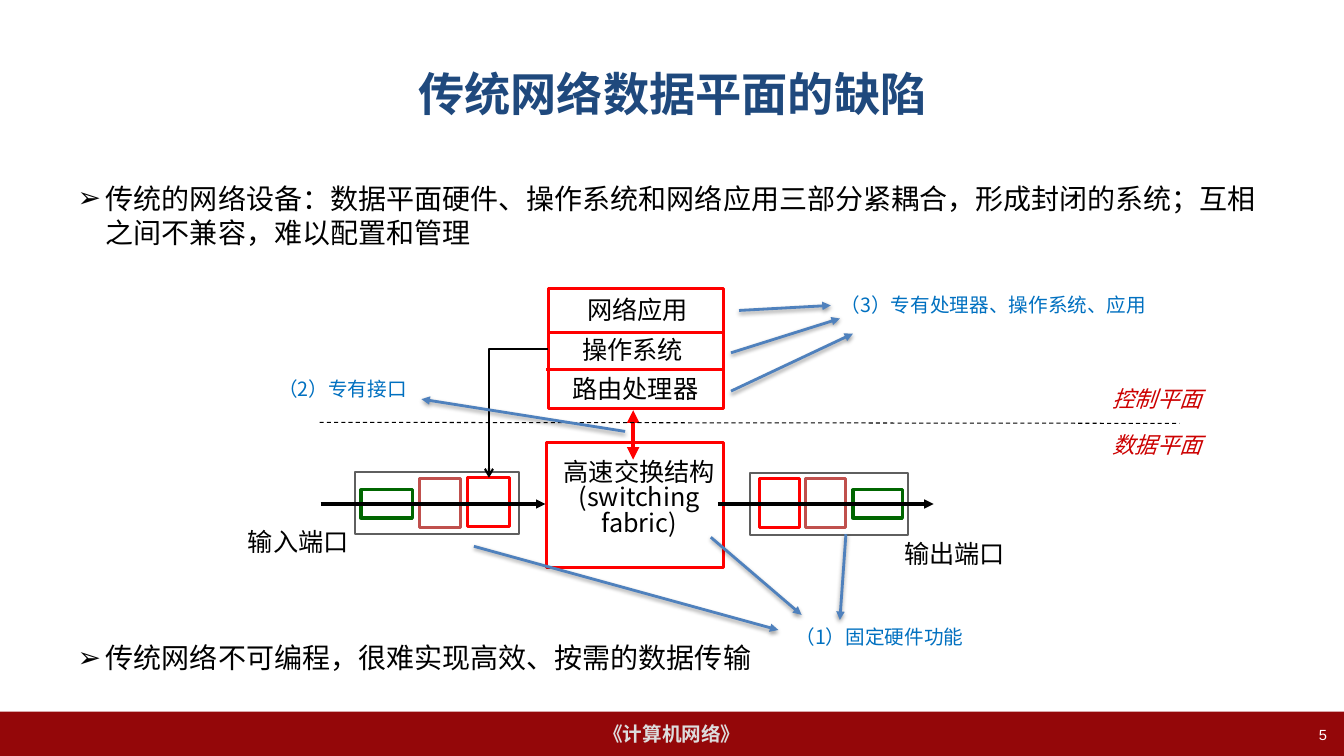
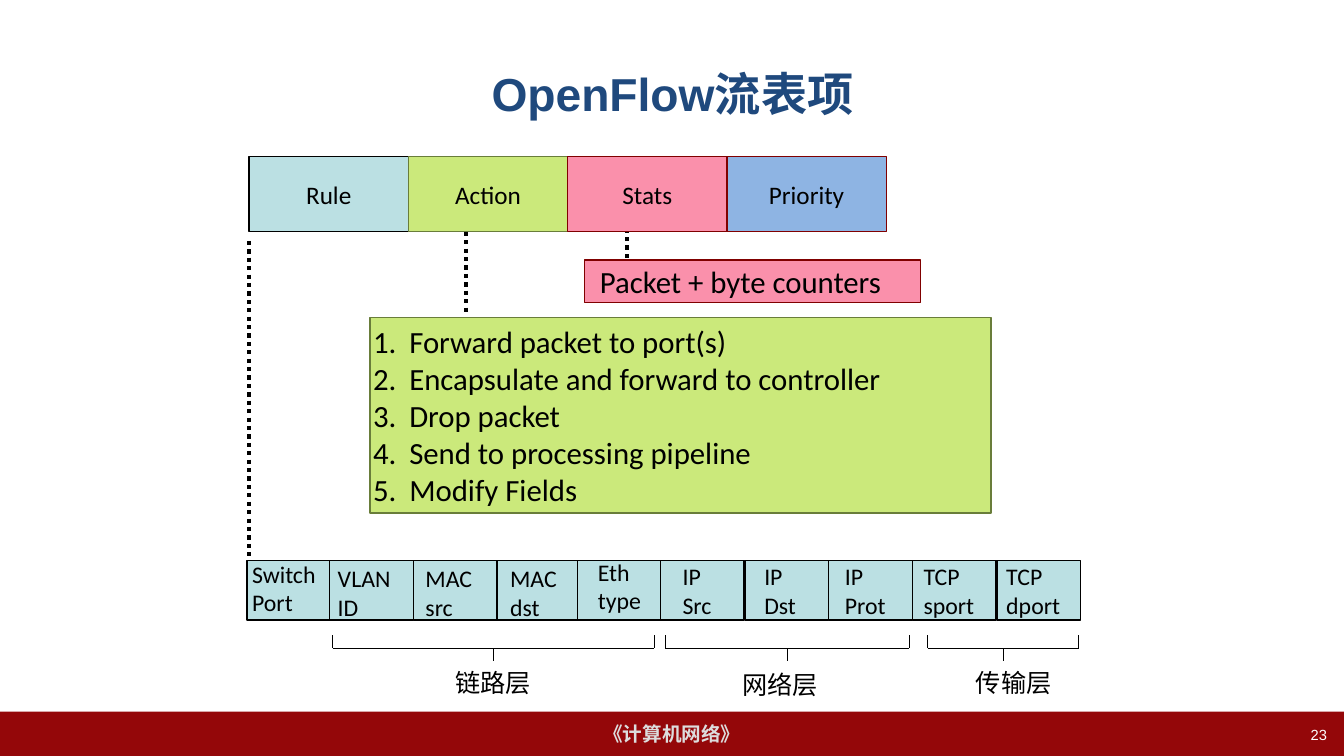
from dataclasses import dataclass

from lxml import etree
from pptx import Presentation
from pptx import util as u
from pptx.dml import color
from pptx.enum import dml, shapes, text
from pptx.oxml import ns

In = u.Inches
LEFT, CENTER, RIGHT = text.PP_ALIGN.LEFT, text.PP_ALIGN.CENTER, text.PP_ALIGN.RIGHT
MIDDLE, TOP = text.MSO_ANCHOR.MIDDLE, text.MSO_ANCHOR.TOP


@dataclass(frozen=True)
class Theme:
    # Colours
    band: str = "940709"
    band_text: str = "DDDDDD"
    title: str = "1F497D"
    ink: str = "000000"
    white: str = "FFFFFF"
    red: str = "FF0000"
    plane: str = "CC0000"
    brick: str = "C0504D"
    green: str = "006600"
    gray: str = "5F5F5F"
    arrow: str = "4F81BD"
    note: str = "0070C0"
    teal: str = "BBE0E3"
    lime: str = "CBE97B"
    olive: str = "697D3A"
    pink: str = "FA90AB"
    maroon: str = "800000"
    sky: str = "8EB4E3"
    # Fonts and type sizes
    head_font: str = "Arial"
    label_font: str = "Noto Sans CJK SC"
    table_font: str = "Calibri"
    title_size: float = 33
    list_size: float = 22
    body_size: float = 20
    label_size: float = 18
    field_size: float = 17
    plane_size: float = 16
    note_size: float = 14
    number_size: float = 10.5


T = Theme()
LABEL = dict(name=T.label_font, size=T.label_size)
NOTE = dict(name=T.label_font, size=T.note_size, color=T.note)
PLANE = dict(name=T.label_font, size=T.plane_size, color=T.plane, italic=True)
CELL = dict(name=T.table_font, size=T.label_size)
FIELD = dict(CELL, size=T.field_size)
LIST = dict(CELL, size=T.list_size)
BODY = dict(name=T.head_font, size=T.body_size)


def sub(parent, tag, **attrs):
    el = etree.SubElement(parent, ns.qn(tag))
    for key, value in attrs.items():
        el.set(key, str(value))
    return el


class Deck:
    def __init__(self):
        self.prs = Presentation()
        self.prs.slide_width, self.prs.slide_height = In(13.33), In(7.5)
        self.s = None

    def slide(self, title, number, layout):
        first = self.s is None
        self.s = self.prs.slides.add_slide(self.prs.slide_layouts[layout])
        if first:
            self.master_band()
        self.place(self.s.shapes.title, 0.67, 0.3, 12, 1.25)
        self.set_text(self.s.shapes.title.text_frame, [title], align=CENTER, anchor=MIDDLE,
                      name=T.head_font, size=T.title_size, color=T.title, bold=True)
        self.label(10.15, 7.15, 3.11, 0.35, number, align=RIGHT, wrap=True,
                   name=T.head_font, size=T.number_size, color=T.white)

    def master_band(self):
        band = self.box(0, 7.06, 13.33, 0.44, T.band, lines=["《计算机网络》"], wrap=False,
                        name=T.head_font, size=T.note_size, color=T.band_text, bold=True)
        self.prs.slide_master.element.cSld.spTree.append(band.element)

    def place(self, sp, *at):
        for key, value in zip(("left", "top", "width", "height"), at):
            setattr(sp, key, In(value))

    def set_text(self, tf, lines, align=LEFT, anchor=TOP, wrap=True, margins=None,
                 spacing=None, bullet=None, gap=0, **style):
        frame = dict(word_wrap=wrap, vertical_anchor=anchor, auto_size=text.MSO_AUTO_SIZE.NONE)
        if margins:
            sides = ("margin_left", "margin_top", "margin_right", "margin_bottom")
            frame.update(zip(sides, map(In, margins)))
        for key, value in frame.items():
            setattr(tf, key, value)
        font = dict(style, size=u.Pt(style["size"]))
        ink = color.RGBColor.from_string(font.pop("color", T.ink))
        for i, line in enumerate(lines):
            p = tf.paragraphs[0] if i == 0 else tf.add_paragraph()
            form = dict(alignment=align, line_spacing=spacing,
                        space_before=u.Pt(gap if i else 0))
            for key, value in form.items():
                setattr(p, key, value)
            if bullet:
                self.bullet(p, *bullet)
            r = p.add_run()
            r.text = line
            for key, value in font.items():
                setattr(r.font, key, value)
            r.font.color.rgb = ink

    def bullet(self, p, tag, attrs, margin, hang):
        pPr = p._p.get_or_add_pPr()
        pPr.set("marL", str(In(margin)))
        pPr.set("indent", str(-In(hang)))
        sub(pPr, tag, **attrs)

    def body(self, lines, gap):
        sp = self.s.placeholders[1]
        self.place(sp, 0.67, 1.75, 12, 5.45)
        self.set_text(sp.text_frame, lines, gap=gap,
                      bullet=("a:buChar", {"char": "➢"}, 0.28, 0.28), **BODY)

    def label(self, x, y, w, h, *lines, wrap=False, **style):
        sp = self.s.shapes.add_textbox(In(x), In(y), In(w), In(h))
        self.set_text(sp.text_frame, lines, wrap=wrap, **style)

    def box(self, x, y, w, h, fill, line=None, weight=1, lines=(), **style):
        sp = self.s.shapes.add_shape(shapes.MSO_SHAPE.RECTANGLE, In(x), In(y), In(w), In(h))
        sp.shadow.inherit = False
        sp.fill.solid()
        sp.fill.fore_color.rgb = color.RGBColor.from_string(fill)
        if line:
            sp.line.color.rgb = color.RGBColor.from_string(line)
            sp.line.width = u.Pt(weight)
        else:
            sp.line.fill.background()
        if lines:
            self.set_text(sp.text_frame, lines, **{"align": CENTER, "anchor": MIDDLE, **style})
        return sp

    def line(self, x1, y1, x2, y2, ink=T.ink, weight=0.75, dash=None, head=None,
             tail=None, bent=False, shadow=False):
        c = self.s.shapes.add_connector(shapes.MSO_CONNECTOR.STRAIGHT,
                                        In(x1), In(y1), In(x2), In(y2))
        c.line.color.rgb = color.RGBColor.from_string(ink)
        c.line.width = u.Pt(weight)
        if dash:
            c.line.dash_style = dash
        spPr = c.element.spPr
        if bent:
            spPr.find(ns.qn("a:prstGeom")).set("prst", "bentConnector2")
        ln = spPr.find(ns.qn("a:ln"))
        for tag, kind in (("a:headEnd", head), ("a:tailEnd", tail)):
            if kind:
                sub(ln, tag, type=kind)
        effects = sub(spPr, "a:effectLst")
        if shadow:
            outer = sub(effects, "a:outerShdw", blurRad=u.Pt(3.1), dist=u.Pt(1.6),
                        dir=5400000, rotWithShape=0)
            sub(sub(outer, "a:srgbClr", val=T.ink), "a:alpha", val=38000)

    def callout(self, *ends):
        self.line(*ends, ink=T.arrow, weight=2, tail="triangle", shadow=True)

    def port(self, frame, stages, arrow):
        self.box(*frame, T.white, T.gray, 1.5)
        for ink, *at in stages:
            self.box(*at, T.white, ink, 2.25)
        x1, x2 = arrow
        self.line(x1, 5, x2, 5, weight=2.25, tail="triangle")

    def bracket(self, x1, x2, stem):
        top, bar, mid = 6.3, 6.43, (x1 + x2) / 2
        for ends in ((x1, top, x1, bar), (x1, bar, x2, bar),
                     (x2, top, x2, bar), (mid, bar, mid, stem)):
            self.line(*ends)


def data_plane(d):
    d.slide("传统网络数据平面的缺陷", "5", 1)
    d.body(["传统的网络设备：数据平面硬件、操作系统和网络应用三部分紧耦合，形成封闭的系统；互相之间不兼容，难以配置和管理",
            "传统网络不可编程，很难实现高效、按需的数据传输"], gap=280)

    # Switching fabric and control stack
    d.box(5.42, 4.39, 1.76, 1.24, T.white, T.red, 2.25)
    d.label(5.49, 4.52, 1.7, 0.58, "高速交换结构", "(switching", "fabric)",
            align=CENTER, spacing=0.85, **LABEL)
    d.box(5.44, 2.86, 1.74, 1.19, T.white, T.red, 2.25)
    for x, y, w, layer in ((5.72, 2.92, 1.21, "网络应用"), (5.67, 3.31, 1.21, "操作系统"),
                           (5.54, 3.7, 1.52, "路由处理器")):
        d.label(x, y, w, 0.36, layer, align=CENTER, spacing=0.85, **LABEL)
    for x, y in ((5.45, 3.3), (5.42, 3.67)):
        d.line(x, y, x + 1.74, y, T.red, 2.25)
    d.line(6.28, 4.07, 6.28, 4.56, T.red, 3, head="triangle", tail="triangle")

    # Input and output ports
    d.port((3.52, 4.68, 1.63, 0.62),
           ((T.green, 3.58, 4.86, 0.51, 0.28), (T.brick, 4.16, 4.75, 0.41, 0.48),
            (T.red, 4.64, 4.74, 0.41, 0.48)), (3.18, 5.41))
    d.port((7.44, 4.69, 1.57, 0.62),
           ((T.green, 8.46, 4.86, 0.49, 0.28), (T.brick, 7.99, 4.75, 0.4, 0.48),
            (T.red, 7.53, 4.75, 0.4, 0.48)), (7.12, 9.26))
    d.label(2.36, 5.17, 1.21, 0.4, "输入端口", **LABEL)
    d.label(8.87, 5.29, 1.21, 0.4, "输出端口", **LABEL)
    d.line(5.44, 3.46, 4.85, 4.74, weight=1.5, tail="arrow", bent=True)

    # Border between the planes
    d.line(3.17, 4.19, 11.7, 4.2, dash=dml.MSO_LINE.DASH)
    for y, plane in ((3.77, "控制平面"), (4.23, "数据平面")):
        d.label(8.87, y, 3.15, 0.37, plane, align=RIGHT, wrap=True, **PLANE)

    # Numbered notes and their arrows
    for x, y, w, note in ((7.79, 6.15, 2.18, "（1）固定硬件功能"), (2.66, 3.69, 2.18, "（2）专有接口"),
                          (8.24, 2.86, 3.58, "（3）专有处理器、操作系统、应用")):
        d.label(x, y, w, 0.34, note, wrap=True, **NOTE)
    for ends in ((7.05, 5.33, 7.95, 6.1), (8.39, 5.3, 8.33, 6.15), (4.7, 5.42, 7.72, 6.25),
                 (6.2, 4.28, 4.18, 3.96), (7.25, 3.88, 8.46, 3.31),
                 (7.25, 3.5, 8.33, 3.16), (7.33, 3.08, 8.24, 3.03)):
        d.callout(*ends)


def flow_entry(d):
    d.slide("OpenFlow流表项", "23", 5)

    # Parts of an entry
    for i, (part, fill, edge) in enumerate((("Rule", T.teal, T.ink), ("Action", T.lime, T.olive),
                                            ("Stats", T.pink, T.maroon),
                                            ("Priority", T.sky, T.maroon))):
        d.box(2.47 + 1.58 * i, 1.55, 1.58, 0.75, fill, edge, lines=[part], **CELL)

    # Details of each part
    d.box(3.67, 3.15, 6.16, 1.94, T.lime, T.olive, align=LEFT, margins=(0, 0, 0, 0),
          lines=["Forward packet to port(s)", "Encapsulate and forward to controller",
                 "Drop packet", "Send to processing pipeline", "Modify Fields"],
          bullet=("a:buAutoNum", {"type": "arabicPeriod"}, 0.39, 0.36), **LIST)
    d.box(5.8, 2.58, 3.33, 0.42, T.pink, T.maroon, lines=["Packet + byte counters"],
          align=LEFT, margins=(0.15, 0, 0, 0), **LIST)
    for x, y1, y2 in ((2.47, 2.39, 5.55), (4.62, 2.3, 3.13), (6.22, 2.56, 2.3)):
        d.line(x, y1, x, y2, weight=3, dash=dml.MSO_LINE.ROUND_DOT)

    # Match fields: left edge, text inset, top and bottom margins
    for x, inset, top, bottom, *lines in (
            (2.45, 0.05, 0, 0.04, "Switch", "Port"), (3.27, 0.08, 0.04, 0, "VLAN", "ID"),
            (4.1, 0.12, 0.04, 0, "MAC", "src"), (4.93, 0.13, 0.04, 0, "MAC", "dst"),
            (5.73, 0.2, 0, 0.08, "Eth", "type"), (6.55, 0.22, 0, 0, "IP", "Src"),
            (7.39, 0.19, 0, 0, "IP", "Dst"), (8.22, 0.16, 0, 0, "IP", "Prot"),
            (9.05, 0.11, 0, 0, "TCP", "sport"), (9.89, 0.09, 0, 0, "TCP", "dport")):
        d.box(x, 5.56, 0.83, 0.59, T.teal, T.ink, lines=lines, align=LEFT,
              margins=(inset, top, 0, bottom), **FIELD)

    # Protocol layers
    for x1, x2, x, y, w, layer in ((3.3, 6.49, 4.4, 6.57, 0.98, "链路层"),
                                   (6.6, 9.02, 7.26, 6.59, 0.96, "网络层"),
                                   (9.2, 10.7, 9.57, 6.57, 0.97, "传输层")):
        d.bracket(x1, x2, 6.56)
        d.label(x, y, w, 0.4, layer, align=CENTER, **LABEL)


def main():
    d = Deck()
    data_plane(d)
    flow_entry(d)
    d.prs.save("out.pptx")


if __name__ == "__main__":
    main()
